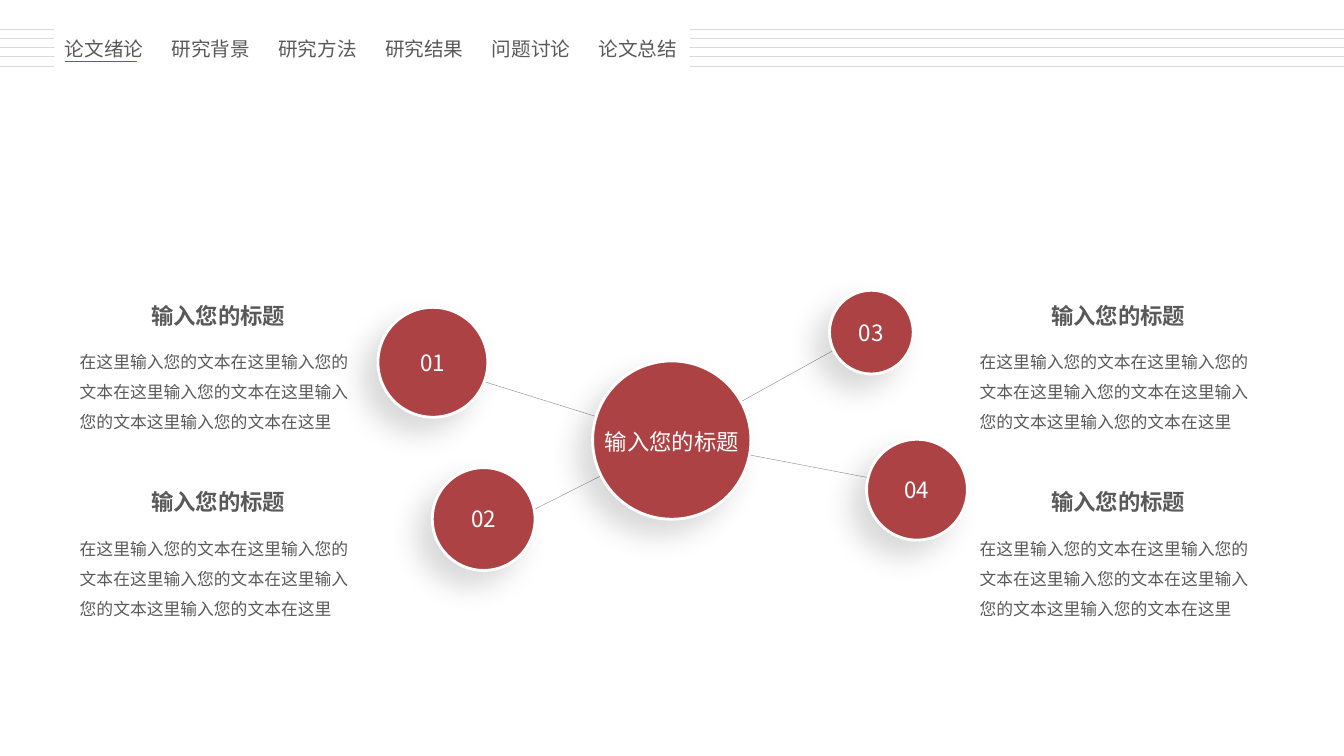
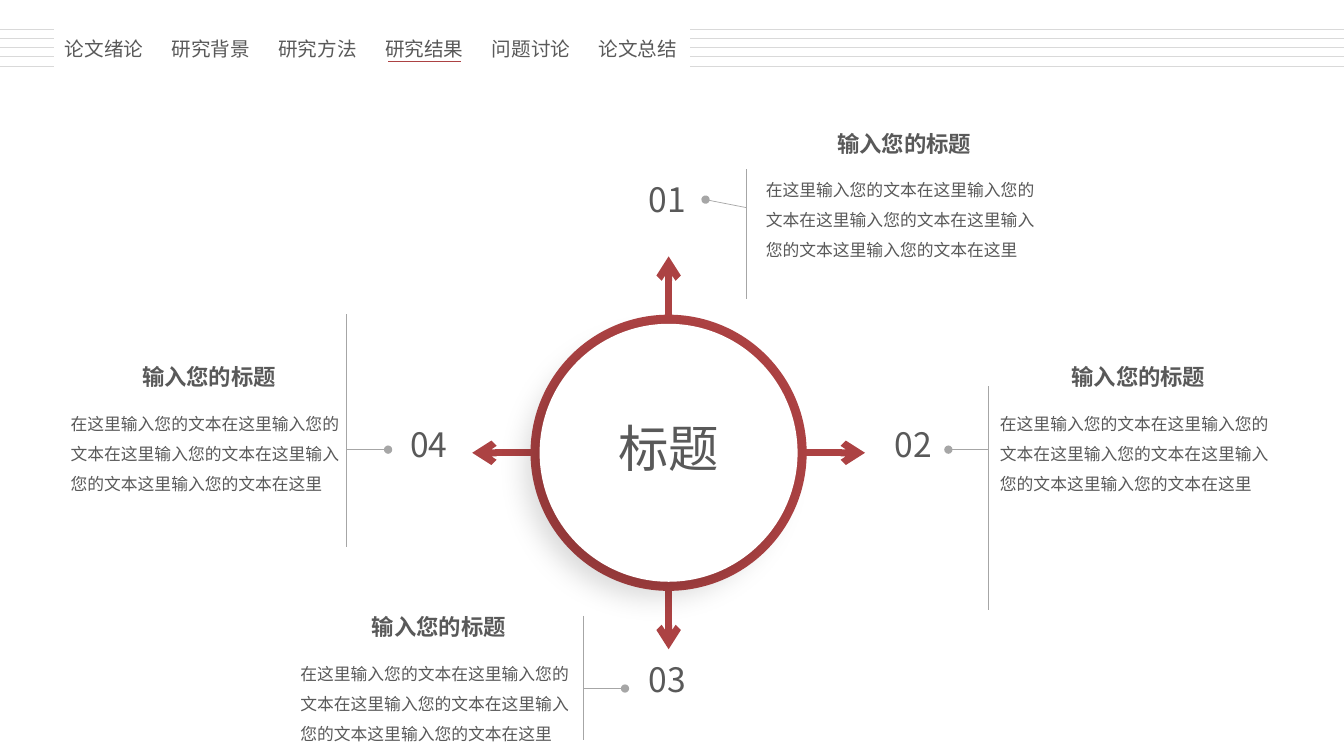
from dataclasses import dataclass

from lxml import etree
from pptx import Presentation
from pptx.dml.color import RGBColor
from pptx.enum import shapes, text
from pptx.oxml import ns
from pptx.util import Cm, Pt

FONT = "Noto Sans CJK SC"
RED, WHITE, INK = "AC4243", "FFFFFF", "595959"
RULE, GREY, LINK = "D9D9D9", "A6A6A6", "808080"
WIDE, HIGH = 33.87, 19.05
TABS = ["论文绪论", "研究背景", "研究方法", "研究结果", "问题讨论", "论文总结"]
HEAD = "输入您的标题"
BODY = "在这里输入您的文本" * 4 + "在这里输入您的文本这里输入您的文本在这里"
BODY = "在这里输入您的文本在这里输入您的文本在这里输入您的文本在这里输入您的文本这里输入您的文本在这里"
MID = text.PP_ALIGN.CENTER
LEFT = text.PP_ALIGN.LEFT


@dataclass
class Node:
    name: str
    x: float
    y: float
    size: float
    start: tuple[float, float]


@dataclass
class Branch:
    name: str
    dx: int
    dy: int
    label: tuple[float, float]
    bar: tuple[float, float, float]
    join: float
    dot: tuple[float, float]
    body: tuple[float, float]


NODES = [
    Node("03", 21.96, 8.37, 2.11, (21.54, 8.53)),
    Node("01", 10.91, 9.13, 2.77, (11.73, 9.47)),
    Node("04", 23.11, 12.34, 2.54, (23.11, 12.27)),
    Node("02", 12.19, 13.08, 2.59, (13.18, 12.98)),
]
BRANCHES = [
    Branch("01", 0, -1, (15.9, 4.52), (18.8, 4.27, 7.54), 5.23, (17.78, 5.03), (19.3, 4.27)),
    Branch("02", 1, 0, (22.1, 10.69), (24.92, 9.73, 15.37), 11.33, (23.9, 11.33), (25.2, 10.16)),
    Branch("03", 0, 1, (15.9, 16.61), (14.71, 15.52, 18.64), 17.35, (15.75, 17.35), (7.57, 16.46)),
    Branch("04", -1, 0, (9.88, 10.69), (8.74, 7.92, 13.79), 11.33, (9.78, 11.33), (1.78, 10.16)),
]


def tint(code: str) -> RGBColor:
    return RGBColor.from_string(code)


def add(parent, tag: str, **attrs):
    return etree.SubElement(parent, ns.qn(tag), attrs)


def shade(shape, cast: bool) -> None:
    effect = add(shape._element.spPr, "a:effectLst")
    if cast:
        drop = add(effect, "a:outerShdw", blurRad=str(Pt(20)), dist=str(Pt(15)),
                   dir=str(135 * 60000), algn="tr", rotWithShape="0")
        add(add(drop, "a:srgbClr", val="000000"), "a:alpha", val="15000")


def write(shape, words: str, size: float, color: str = INK, align=MID, bold: bool = False,
          space: float = 1.0, pad: tuple[float, float] = (0, 0), wrap: bool = True,
          grow: bool = True, anchor=text.MSO_ANCHOR.TOP) -> None:
    frame = shape.text_frame
    frame.text = words
    frame.word_wrap = wrap
    fit = text.MSO_AUTO_SIZE
    frame.auto_size = fit.SHAPE_TO_FIT_TEXT if grow else fit.NONE
    frame.vertical_anchor = anchor
    frame.margin_left = frame.margin_right = Cm(pad[0])
    frame.margin_top = frame.margin_bottom = Cm(pad[1])
    para = frame.paragraphs[0]
    para.alignment = align
    para.line_spacing = space
    run = para.runs[0]
    run.font.size = Pt(size)
    run.font.bold = bold
    run.font.name = FONT
    run.font.color.rgb = tint(color)
    add(run._r.get_or_add_rPr(), "a:ea", typeface=FONT)


def box(slide, x: float, y: float, w: float, h: float, words: str, size: float, **style) -> None:
    write(slide.shapes.add_textbox(Cm(x), Cm(y), Cm(w), Cm(h)), words, size, **style)


def line(slide, start: tuple[float, float], end: tuple[float, float], color: str,
         width: float, tip: str = "", cast: bool = False) -> None:
    link = slide.shapes.add_connector(shapes.MSO_CONNECTOR.STRAIGHT,
                                      *(Cm(v) for v in (*start, *end)))
    link.line.color.rgb = tint(color)
    link.line.width = Pt(width)
    if tip:
        add(link.line._get_or_add_ln(), "a:tailEnd", type=tip)
    shade(link, cast)


def disc(slide, x: float, y: float, size: float, fill: str, cast: bool = True):
    shape = slide.shapes.add_shape(shapes.MSO_SHAPE.OVAL, Cm(x - size / 2), Cm(y - size / 2),
                                   Cm(size), Cm(size))
    shape.fill.solid()
    shape.fill.fore_color.rgb = tint(fill)
    if cast:
        shape.line.color.rgb = tint(WHITE)
        shape.line.width = Pt(2)
    else:
        shape.line.fill.background()
    shade(shape, cast)
    return shape


def title(slide, x: float, y: float, w: float, h: float, words: str, size: float,
          color: str) -> None:
    shape = slide.shapes.title
    shape.left, shape.top, shape.width, shape.height = (
        Cm(v) for v in (x - w / 2, y - h / 2, w, h))
    write(shape, words, size, color, grow=False, anchor=text.MSO_ANCHOR.MIDDLE)
    slide.shapes._spTree.append(shape._element)


def block(slide, x: float, y: float) -> None:
    box(slide, x + 1.09, y - 1.3, 4.8, 1.09, HEAD, 16, bold=True, space=1.3, pad=(0.18, 0.1))
    box(slide, x, y, 6.99, 2.31, BODY, 12, align=LEFT, space=1.5)


def band(slide, tab: int) -> None:
    for row in range(5):
        y = 0.74 + row * 0.23
        for left, right in ((0, 1.35), (17.4, WIDE)):
            line(slide, (left, y), (right, y), RULE, 0.5)
    for i, name in enumerate(TABS):
        box(slide, 1.37 + i * 2.69, 0.81, 2.51, 0.86, name, 14, pad=(0.25, 0.13), wrap=False)
    x = 1.63 + tab * 2.72
    line(slide, (x, 1.55), (x + 1.83, 1.55), RED, 0.5)


def hub(slide) -> None:
    x, y = 16.93, 11.09
    for node in NODES:
        line(slide, node.start, (x, y), LINK, 0.25, cast=True)
    disc(slide, x, y, 3.99, RED)
    title(slide, x, y + 0.04, 3.99, 1.88, HEAD, 16, WHITE)
    for node in NODES:
        shape = disc(slide, node.x, node.y, node.size, RED)
        write(shape, node.name, 16, WHITE, grow=False, anchor=text.MSO_ANCHOR.MIDDLE)
    for left in (2.01, 24.69):
        for top in (8.61, 13.31):
            block(slide, left, top)
    band(slide, 0)


def ring(slide) -> None:
    x, y = 16.85, 11.41
    near, far = 2.77, 4.95
    disc(slide, x, y, 6.96, RED, cast=False)
    for arm in BRANCHES:
        line(slide, (x + arm.dx * near, y + arm.dy * near),
             (x + arm.dx * far, y + arm.dy * far), RED, 5, "arrow")
        box(slide, *arm.label, 1.85, 1.02, arm.name, 24)
        side, top, end = arm.bar
        line(slide, (side, top), (side, end), GREY, 0.5)
        line(slide, (side, arm.join), arm.dot, GREY, 0.5, "oval")
    disc(slide, x, y, 6.43, WHITE)
    title(slide, x, y - 0.15, 3.07, 1.8, "标题", 36, INK)
    for arm in BRANCHES:
        block(slide, *arm.body)
    band(slide, 3)


def main() -> None:
    deck = Presentation()
    deck.slide_width, deck.slide_height = Cm(WIDE), Cm(HIGH)
    for draw in (hub, ring):
        draw(deck.slides.add_slide(deck.slide_layouts[5]))
    deck.save("out.pptx")


if __name__ == "__main__":
    main()
